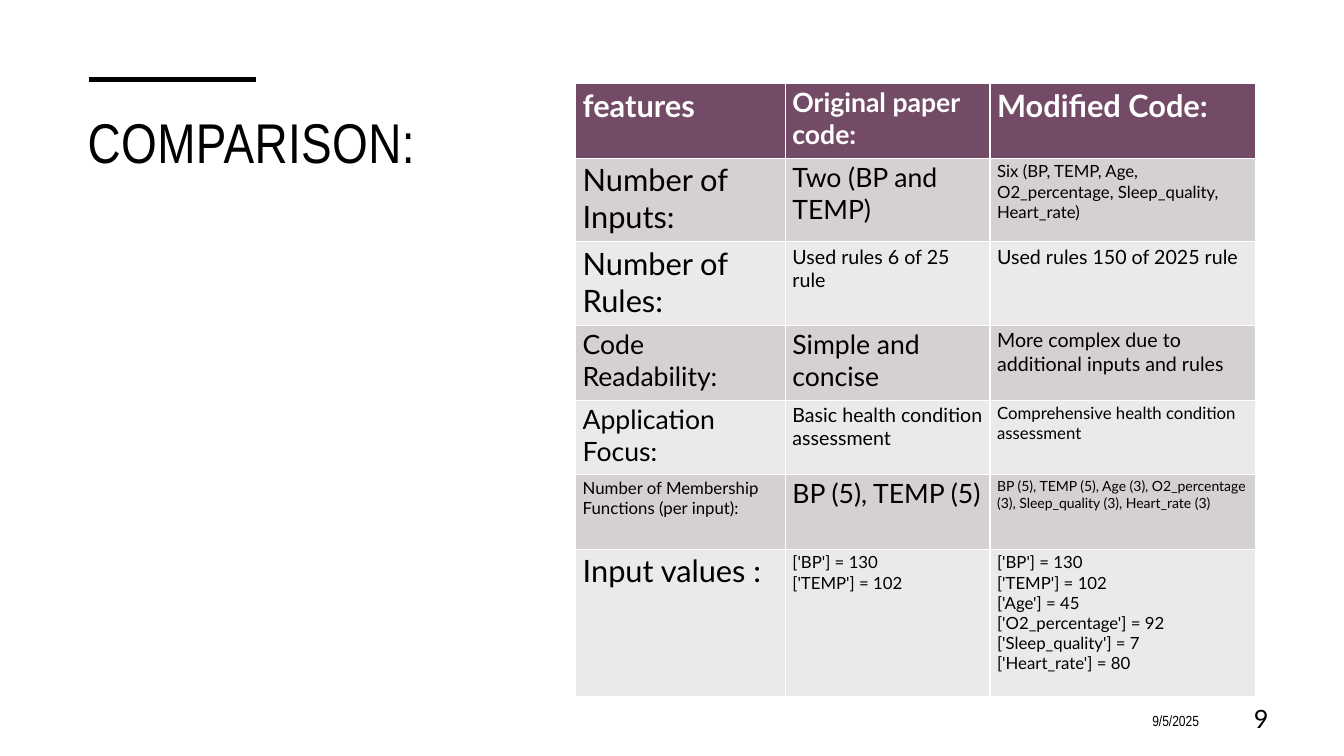
from pptx import Presentation
from pptx.dml.color import RGBColor
from pptx.enum.shapes import MSO_CONNECTOR as Connector
from pptx.enum.text import MSO_ANCHOR as Anchor, MSO_AUTO_SIZE as AutoSize, PP_ALIGN as Align
from pptx.oxml.ns import qn
from pptx.util import Pt
from lxml.etree import SubElement

BLACK = RGBColor(0x00, 0x00, 0x00)
WHITE = RGBColor(0xFF, 0xFF, 0xFF)
PLUM = RGBColor(0x73, 0x4B, 0x67)
MAUVE = RGBColor(0xD5, 0xD0, 0xD3)
PALE = RGBColor(0xEB, 0xE9, 0xEB)

HEADING_FONT = "Arial Narrow"
BODY_FONT = "Lato"
EMU_PER_PX = 9144

COLUMN_WIDTHS = [208, 203, 263]
ROW_HEIGHTS = [74, 83, 83, 74, 74, 74, 146]
COMPARISON = [
    [("features", 22), ("Original paper code:", 19), ("Modified Code:", 22)],
    [("Number of Inputs:", 22), ("Two (BP and TEMP)", 19),
     ("Six (BP, TEMP, Age, O2_percentage, Sleep_quality, Heart_rate)", 12)],
    [("Number of Rules:", 22), ("Used rules 6 of 25 rule", 14),
     ("Used rules 150 of 2025 rule", 14)],
    [("Code Readability:", 19), ("Simple and concise", 19),
     ("More complex due to additional inputs and rules", 14)],
    [("Application Focus:", 19), ("Basic health condition assessment", 14),
     ("Comprehensive health condition assessment", 12)],
    [("Number of Membership Functions (per input):", 12), ("BP (5), TEMP (5)", 19),
     ("BP (5), TEMP (5), Age (3), O2_percentage (3), Sleep_quality (3), Heart_rate (3)", 10)],
    [("Input values :", 22), ("['BP'] = 130\n['TEMP'] = 102", 12),
     ("['BP'] = 130\n['TEMP'] = 102\n['Age'] = 45\n['O2_percentage'] = 92\n"
      "['Sleep_quality'] = 7\n['Heart_rate'] = 80", 12)],
]


def px(*lengths):
    return [length * EMU_PER_PX for length in lengths]


def apply(target, values):
    for name, value in values.items():
        setattr(target, name, value)


class ComparisonSlide:
    def __init__(self, deck):
        self.slide = deck.slides.add_slide(deck.slide_layouts[5])
        self.shapes = self.slide.shapes

    def set_text(self, frame, text, size, font=BODY_FONT, color=BLACK, bold=False, **layout):
        frame.text = text
        for paragraph in frame.paragraphs:
            apply(paragraph, {"alignment": Align.LEFT, **layout})
            for run in paragraph.runs:
                apply(run.font, {"name": font, "size": Pt(size), "bold": bold})
                run.font.color.rgb = color

    def title(self, text, left, top, width, height):
        heading = self.shapes.title
        apply(heading, dict(zip(("left", "top", "width", "height"),
                                px(left, top, width, height))))
        frame = heading.text_frame
        apply(frame, {"vertical_anchor": Anchor.TOP, "auto_size": AutoSize.NONE,
                      "word_wrap": True, "margin_top": px(8)[0]})
        self.set_text(frame, text, 40, HEADING_FONT)
        frame.paragraphs[0].runs[0].font._element.set("spc", "30")

    def accent(self, left, top, right):
        bar = self.shapes.add_connector(Connector.STRAIGHT, *px(left, top, right, top))
        bar.line.color.rgb = BLACK
        bar.line.width = Pt(3.5)
        SubElement(bar._element.spPr, qn("a:effectLst"))

    def footer(self, text, left, width, size, font, **layout):
        frame = self.shapes.add_textbox(*px(left, 695, width, 40)).text_frame
        apply(frame, {"vertical_anchor": Anchor.MIDDLE, "word_wrap": True})
        self.set_text(frame, text, size, font, alignment=Align.RIGHT,
                      space_after=Pt(6), **layout)

    def table(self, left, top, rows):
        area = px(left, top, sum(COLUMN_WIDTHS), sum(ROW_HEIGHTS))
        grid = self.shapes.add_table(len(rows), len(COLUMN_WIDTHS), *area).table
        for column, width in zip(grid.columns, px(*COLUMN_WIDTHS)):
            column.width = width
        for row, height in zip(grid.rows, px(*ROW_HEIGHTS)):
            row.height = height
        margins = dict(zip(("margin_left", "margin_right", "margin_top", "margin_bottom"),
                           px(7, 7, 3, 3)))
        for index, entries in enumerate(rows):
            header = index == 0
            band = PLUM if header else MAUVE if index % 2 else PALE
            for cell, (text, size) in zip(grid.rows[index].cells, entries):
                apply(cell, margins)
                cell.fill.solid()
                cell.fill.fore_color.rgb = band
                self.set_text(cell.text_frame, text, size,
                              color=WHITE if header else BLACK, bold=header)


def main():
    deck = Presentation()
    deck.slide_width, deck.slide_height = px(1333, 750)
    comparison = ComparisonSlide(deck)
    comparison.accent(88, 79, 254)
    comparison.title("COMPARISON:", 77, 99, 428, 435)
    comparison.footer("9/5/2025", 915, 284, 10.5, HEADING_FONT)
    comparison.footer("9", 1194, 74, 18, BODY_FONT, line_spacing=0.9)
    comparison.table(571, 83, COMPARISON)
    deck.save("out.pptx")


if __name__ == "__main__":
    main()
